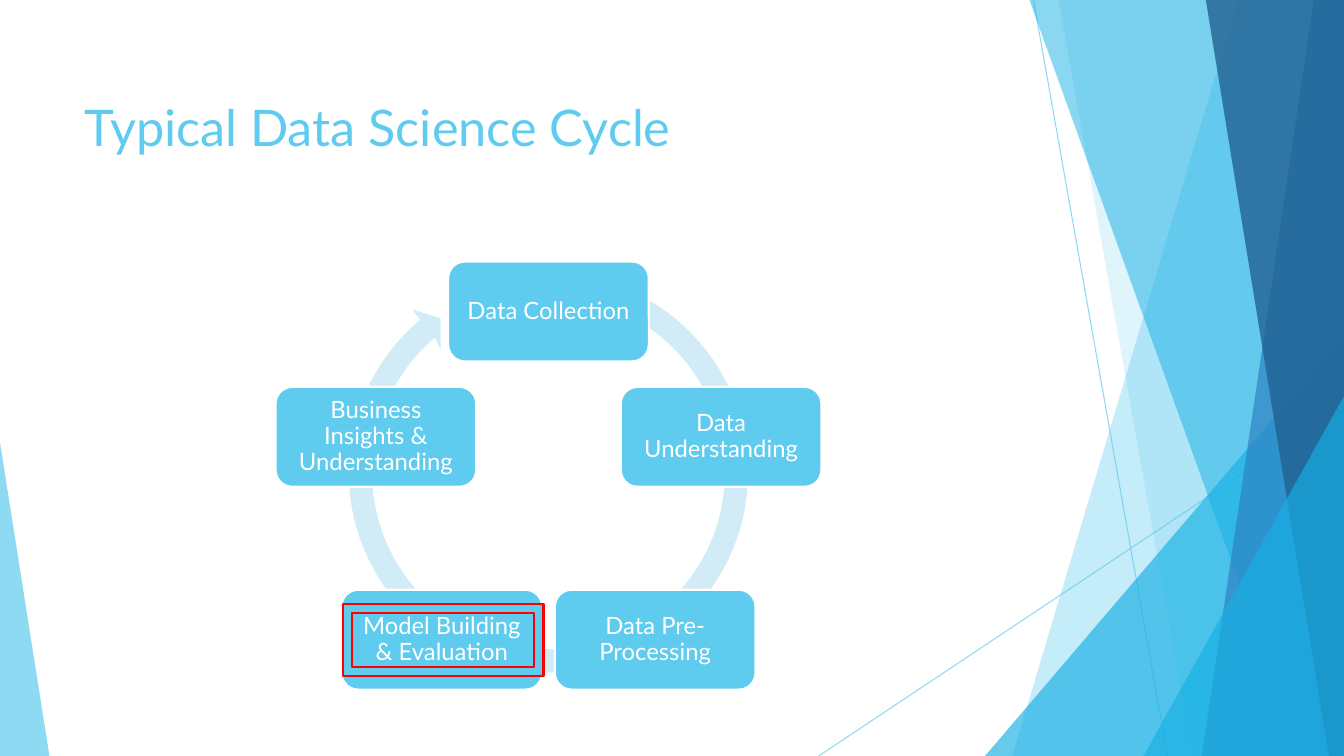
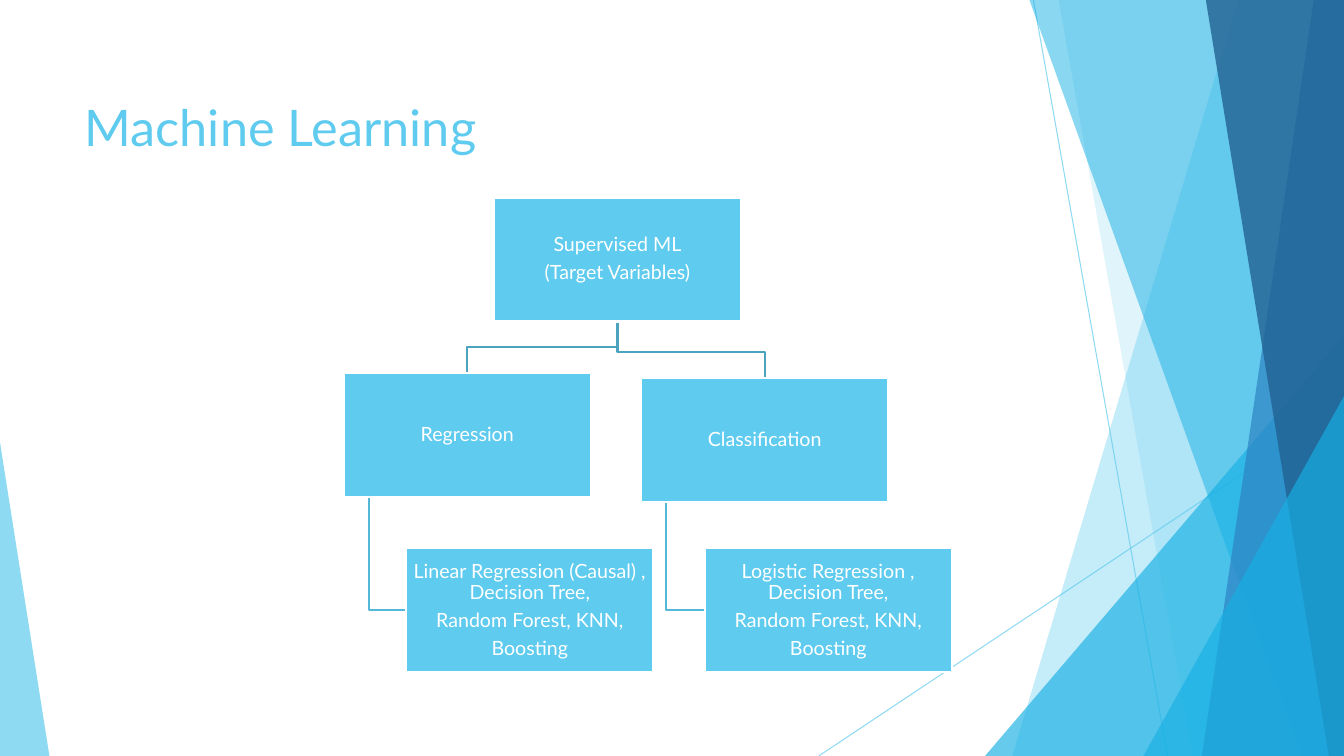
import math

from lxml import etree
from pptx import Presentation
from pptx.dml.color import RGBColor
from pptx.enum.shapes import MSO_CONNECTOR, MSO_SHAPE
from pptx.enum.text import MSO_ANCHOR, MSO_AUTO_SIZE, PP_ALIGN
from pptx.oxml.ns import qn
from pptx.util import Inches, Pt

STRAIGHT = MSO_CONNECTOR.STRAIGHT
TRIANGLE = MSO_SHAPE.ISOSCELES_TRIANGLE
RECTANGLE = MSO_SHAPE.RECTANGLE
ROUNDED = MSO_SHAPE.ROUNDED_RECTANGLE
FRAME = MSO_SHAPE.FRAME
TOP, MIDDLE = MSO_ANCHOR.TOP, MSO_ANCHOR.MIDDLE
LEFT, CENTER = PP_ALIGN.LEFT, PP_ALIGN.CENTER
NO_AUTOFIT = MSO_AUTO_SIZE.NONE

SKY = RGBColor(0x5F, 0xCB, 0xEF)
CYAN = RGBColor(0x17, 0xB0, 0xE4)
BLUE = RGBColor(0x2E, 0x83, 0xC3)
NAVY = RGBColor(0x22, 0x62, 0x92)
PALE = RGBColor(0xD1, 0xEC, 0xF7)
ROOT_LINE = RGBColor(0x4C, 0xA3, 0xBF)
LIST_LINE = RGBColor(0x56, 0xB8, 0xD9)
RED = RGBColor(0xFF, 0x00, 0x00)
WHITE = RGBColor(0xFF, 0xFF, 0xFF)
FONT = "Lato"
WIDTH, HEIGHT = 13.33, 7.5


def add_outline(shapes, points, closed=True):
    corners = [(Inches(x), Inches(y)) for x, y in points]
    builder = shapes.build_freeform(*corners[0])
    builder.add_line_segments(corners[1:], close=closed)
    outline = builder.convert_to_shape()
    outline.shadow.inherit = False
    return outline


def add_box(slide, kind, left, top, width, height, lines, size, inset):
    box = slide.shapes.add_shape(kind, Inches(left), Inches(top), Inches(width), Inches(height))
    box.shadow.inherit = False
    box.fill.solid()
    box.fill.fore_color.rgb = SKY
    box.line.color.rgb = WHITE
    box.line.width = Pt(1.5)
    frame = box.text_frame
    frame.word_wrap = True
    frame.vertical_anchor = MIDDLE
    frame.margin_left = frame.margin_right = Inches(inset)
    frame.margin_top = frame.margin_bottom = Inches(inset)
    frame.text = "\n".join(lines)
    for para in frame.paragraphs:
        para.alignment = CENTER
        para.line_spacing = 0.9
        para.space_after = Pt(4.9)
        for span in para.runs:
            span.font.name = FONT
            span.font.size = Pt(size)
            span.font.color.rgb = WHITE


deck = Presentation()
deck.slide_width, deck.slide_height = Inches(WIDTH), Inches(HEIGHT)
layout = deck.slide_layouts[5]

# Title position, held by the layout
layout_title = layout.placeholders[0]
layout_title.left, layout_title.top = Inches(0.74), Inches(0.9)
layout_title.width, layout_title.height = Inches(9.4), Inches(1.44)
layout_title.text_frame.vertical_anchor = TOP
layout_title.text_frame.auto_size = NO_AUTOFIT

# Slides with their titles
slides = []
for heading in ("Typical Data Science Cycle", "Machine Learning"):
    slide = deck.slides.add_slide(layout)
    slide.shapes.title.text_frame.text = heading
    para = slide.shapes.title.text_frame.paragraphs[0]
    para.alignment = LEFT
    font = para.runs[0].font
    font.name, font.size, font.color.rgb = FONT, Pt(36), SKY
    slides.append(slide)
cycle_slide, tree_slide = slides

# Facets shared by the slides: thin lines, then bands and triangles
facets = cycle_slide.shapes.add_group_shape()
painted = []
for x1, y1, x2, y2 in ((10.25, 0, 11.58, HEIGHT), (WIDTH, 4.03, 8.12, HEIGHT)):
    ray = facets.shapes.add_connector(STRAIGHT, Inches(x1), Inches(y1), Inches(x2), Inches(y2))
    ray.line.color.rgb = SKY
    ray.line.width = Pt(0.75)
    etree.SubElement(ray.element.spPr, qn("a:effectLst"))
    painted.append((ray, 70))

# A band is (top x, bottom x); a triangle is (left, top, width, apex)
for geometry, color, opacity in (
    ((12.28, 10.04), SKY, 36),
    ((10.5, 11.83), SKY, 20),
    ((9.77, 3.33, 3.56, 1), CYAN, 66),
    ((10.21, 12.91), CYAN, 50),
    ((13.03, 11.92), BLUE, 70),
    ((11.96, 13.18), NAVY, 80),
    ((11.34, 3.93, 1.99, 1), CYAN, 66),
    ((0, 4.39, 0.49, 0), SKY, 70),
):
    if len(geometry) == 2:
        top_x, bottom_x = geometry
        facet = add_outline(
            facets.shapes, [(top_x, 0), (WIDTH, 0), (WIDTH, HEIGHT), (bottom_x, HEIGHT)]
        )
    else:
        left, top, width, apex = geometry
        facet = facets.shapes.add_shape(
            TRIANGLE, Inches(left), Inches(top), Inches(width), Inches(HEIGHT - top)
        )
        facet.adjustments[0] = apex
        facet.shadow.inherit = False
    facet.fill.solid()
    facet.fill.fore_color.rgb = color
    facet.line.fill.background()
    painted.append((facet, opacity))

for facet, opacity in painted:
    for color in facet.element.iter(qn("a:srgbClr")):
        etree.SubElement(color, qn("a:alpha")).set("val", str(opacity * 1000))

# The facets move to the layout, behind its placeholders
for number, properties in enumerate(facets.element.iter(qn("p:cNvPr")), start=101):
    properties.set("id", str(number))
layout.shapes.element.insert(2, facets.element)

# Cycle: each arc of the ring is a start and four curves of two handles and an end
RING_X, RING_Y, ARC_START, ARC_STEP = 5.44, 4.69, math.radians(-70), math.radians(75)
HANDLE = 4 / 3 * math.tan(ARC_STEP / 4)
arcs = []
for radius in (1.98, 1.75):
    arc = []
    for index in range(5):
        angle = ARC_START + index * ARC_STEP
        for shift in (-HANDLE, 0, HANDLE):
            x = RING_X + radius * (math.cos(angle) - shift * math.sin(angle))
            y = RING_Y + radius * (math.sin(angle) + shift * math.cos(angle))
            arc.append((x, y))
    arcs.append(arc[1:-1])
outer_arc, inner_arc = arcs
arrowhead = [(4.09, 3.07), (4.37, 3.16), (4.37, 3.47)]
ring = add_outline(cycle_slide.shapes, outer_arc + arrowhead + inner_arc[::-1])
ring.fill.solid()
ring.fill.fore_color.rgb = PALE
ring.line.fill.background()

# Cycle: every three straight segments of an arc become one curve
segments = list(ring.element.iter(qn("a:lnTo")))
inner_start = len(outer_arc) + len(arrowhead)
for start in (0, inner_start):
    for first in range(start, start + len(outer_arc) - 1, 3):
        curve = etree.Element(qn("a:cubicBezTo"))
        segments[first].addprevious(curve)
        for segment in segments[first:first + 3]:
            curve.append(segment[0])
            segment.getparent().remove(segment)

# Cycle: steps on a regular pentagon
STEP_W, STEP_H, RADIUS = 1.99, 0.99, 1.8
steps = (
    "Data Collection",
    "Data Understanding",
    "Data Pre-Processing",
    "Model Building & Evaluation",
    "Business Insights & Understanding",
)
for index, step in enumerate(steps):
    turn = 2 * math.pi * index / len(steps)
    left = 5.44 + RADIUS * math.sin(turn) - STEP_W / 2
    top = 4.89 - RADIUS * math.cos(turn) - STEP_H / 2
    add_box(cycle_slide, ROUNDED, left, top, STEP_W, STEP_H, [step], 17, 0.07)

# Cycle: frame around the highlighted step
highlight = cycle_slide.shapes.add_shape(
    FRAME, Inches(3.4), Inches(5.99), Inches(1.99), Inches(0.72)
)
highlight.shadow.inherit = False
highlight.fill.solid()
highlight.fill.fore_color.rgb = SKY
highlight.line.color.rgb = RED
highlight.line.width = Pt(1.5)

# Tree: root, then each branch with its list of methods
NODE_W, NODE_H = 2.45, 1.23
ROOT_LEFT, ROOT_TOP, LIST_TOP = 4.9, 1.96, 5.44
shared_methods = ["Random Forest, KNN,", "Boosting"]
branches = (
    (3.41, 3.7, "Regression", 4.03, "Linear Regression (Causal) , Decision Tree,"),
    (6.36, 3.75, "Classification", 6.99, "Logistic Regression , Decision Tree,"),
)
nodes = [(ROOT_LEFT, ROOT_TOP, ["Supervised ML", "(Target Variables)"])]
links = []
for left, top, name, list_left, methods in branches:
    nodes.append((left, top, [name]))
    nodes.append((list_left, LIST_TOP, [methods] + shared_methods))
    root_x, branch_x = ROOT_LEFT + NODE_W / 2, left + NODE_W / 2
    bend_y = top - 0.26
    root_path = [(root_x, ROOT_TOP + NODE_H), (root_x, bend_y), (branch_x, bend_y), (branch_x, top)]
    stem_x, list_y = left + 0.25, LIST_TOP + NODE_H / 2
    list_path = [(stem_x, top + NODE_H), (stem_x, list_y), (list_left, list_y)]
    links += [(root_path, ROOT_LINE), (list_path, LIST_LINE)]

for points, color in links:
    link = add_outline(tree_slide.shapes, points, closed=False)
    link.fill.background()
    link.line.color.rgb = color
    link.line.width = Pt(1.5)
for left, top, lines in nodes:
    add_box(tree_slide, RECTANGLE, left, top, NODE_W, NODE_H, lines, 14, 0.01)

deck.save("out.pptx")
